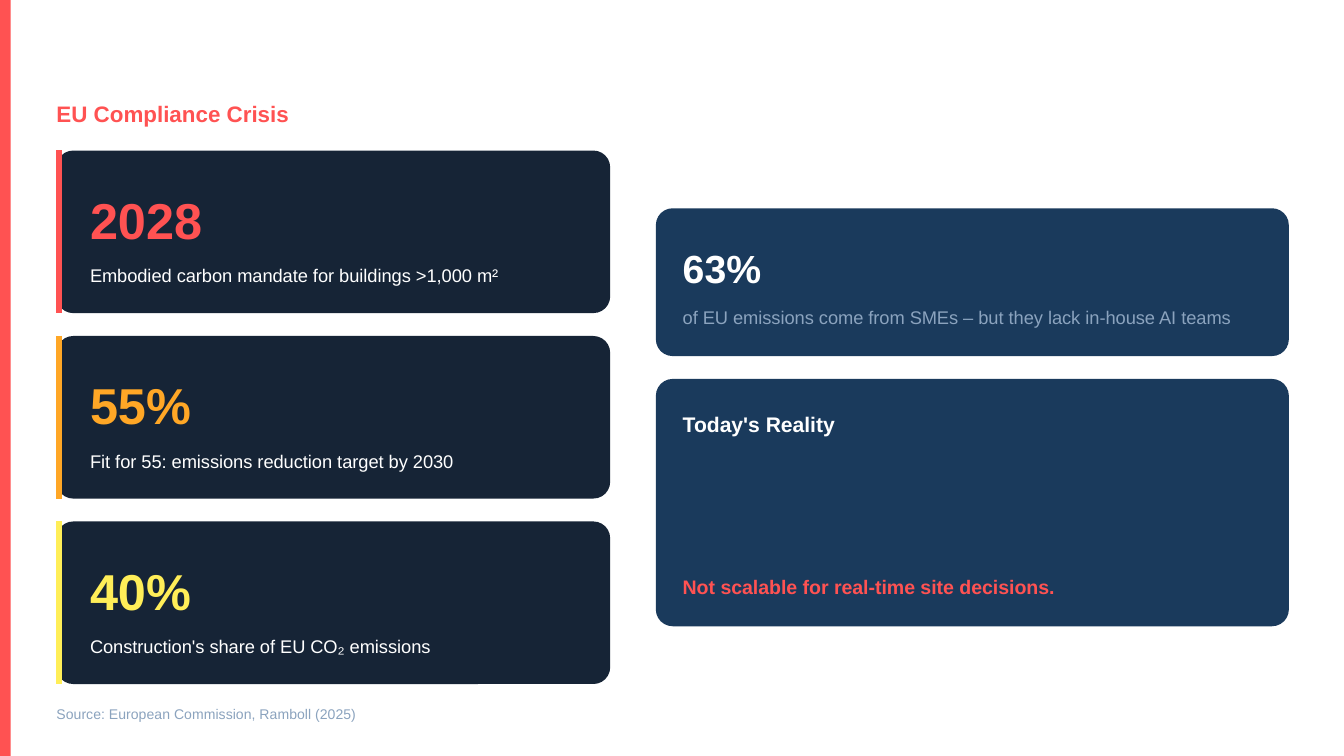
from lxml.etree import SubElement
from pptx import Presentation
from pptx.dml.color import RGBColor
from pptx.enum.shapes import MSO_CONNECTOR, MSO_SHAPE
from pptx.oxml.ns import qn
from pptx.util import Inches, Pt

RED, WHITE, GREY = "FF5252", "FFFFFF", "8BA3BE"
DARK, BLUE = "162436", "1A3A5C"
WIDTH = 10
HEIGHT = WIDTH * 9 / 16
RADIUS = 1 / 8
LEFT, RIGHT = 0.42, 4.88
STATS = [
    ("2028", "Embodied carbon mandate for buildings >1,000 m²", RED),
    ("55%", "Fit for 55: emissions reduction target by 2030", "FFA726"),
    ("40%", "Construction's share of EU CO₂ emissions", "FFEE58"),
]


def color(code):
    return RGBColor.from_string(code)


def block(slide, kind, box, fill):
    shape = slide.shapes.add_shape(kind, *map(Inches, box))
    shape.shadow.inherit = False
    shape.fill.solid()
    shape.fill.fore_color.rgb = color(fill)
    shape.line.fill.background()
    return shape


def card(slide, box, fill):
    shape = block(slide, MSO_SHAPE.ROUNDED_RECTANGLE, box, fill)
    shape.adjustments[0] = RADIUS / min(box[2:])


def label(slide, text, left, top, width, size, tint, bold=False):
    height = size * 1.4 / 72
    box = slide.shapes.add_textbox(*map(Inches, (left, top, width, height)))
    frame = box.text_frame
    layout = {"word_wrap": True, "margin_left": 0, "margin_top": 0,
              "margin_right": 0, "margin_bottom": 0}
    for name, value in layout.items():
        setattr(frame, name, value)
    line = frame.paragraphs[0]
    line.line_spacing = Pt(round(size * 1.4, 2))
    run = line.add_run()
    run.text = text
    style = {"name": "Arial", "size": Pt(size), "bold": bold}
    for name, value in style.items():
        setattr(run.font, name, value)
    run.font.color.rgb = color(tint)


def accent(slide, left, top, height, tint):
    ends = map(Inches, (left, top, left, top + height))
    line = slide.shapes.add_connector(MSO_CONNECTOR.STRAIGHT, *ends)
    line.line.color.rgb = color(tint)
    line.line.width = Pt(3)
    SubElement(line._element.spPr, qn("a:effectLst"))


def stat(slide, top, value, note, tint):
    height = 1.21
    card(slide, (LEFT, top, 4.12, height), DARK)
    accent(slide, LEFT + 0.02, top, height, tint)
    label(slide, value, LEFT + 0.25, top + 0.21, 3.74, 27, tint, True)
    label(slide, note, LEFT + 0.25, top + 0.82, 3.74, 9.75, WHITE)


def main():
    deck = Presentation()
    deck.slide_width, deck.slide_height = Inches(WIDTH), Inches(HEIGHT)
    slide = deck.slides.add_slide(deck.slide_layouts[6])

    block(slide, MSO_SHAPE.RECTANGLE, (0, 0, 0.08, HEIGHT), RED)
    label(slide, "EU Compliance Crisis", LEFT, 0.71, 9.35, 12, RED, True)
    for row, (value, note, tint) in enumerate(STATS):
        stat(slide, 1.12 + row * 1.38, value, note, tint)

    card(slide, (RIGHT, 1.55, 4.71, 1.1), BLUE)
    card(slide, (RIGHT, 2.82, 4.71, 1.84), BLUE)
    inner = RIGHT + 0.2
    for text, top, size, tint, bold in [
        ("63%", 1.76, 21, WHITE, True),
        ("of EU emissions come from SMEs – but they lack in-house AI teams",
         2.25, 9.75, GREY, False),
        ("Today's Reality", 3.03, 11.25, WHITE, True),
        ("Not scalable for real-time site decisions.", 4.25, 10.5, RED, True),
    ]:
        label(slide, text, inner, top, 4.38, size, tint, bold)

    label(slide, "Source: European Commission, Ramboll (2025)",
          LEFT, 5.23, 9.35, 7.5, GREY)
    deck.save("out.pptx")


if __name__ == "__main__":
    main()
